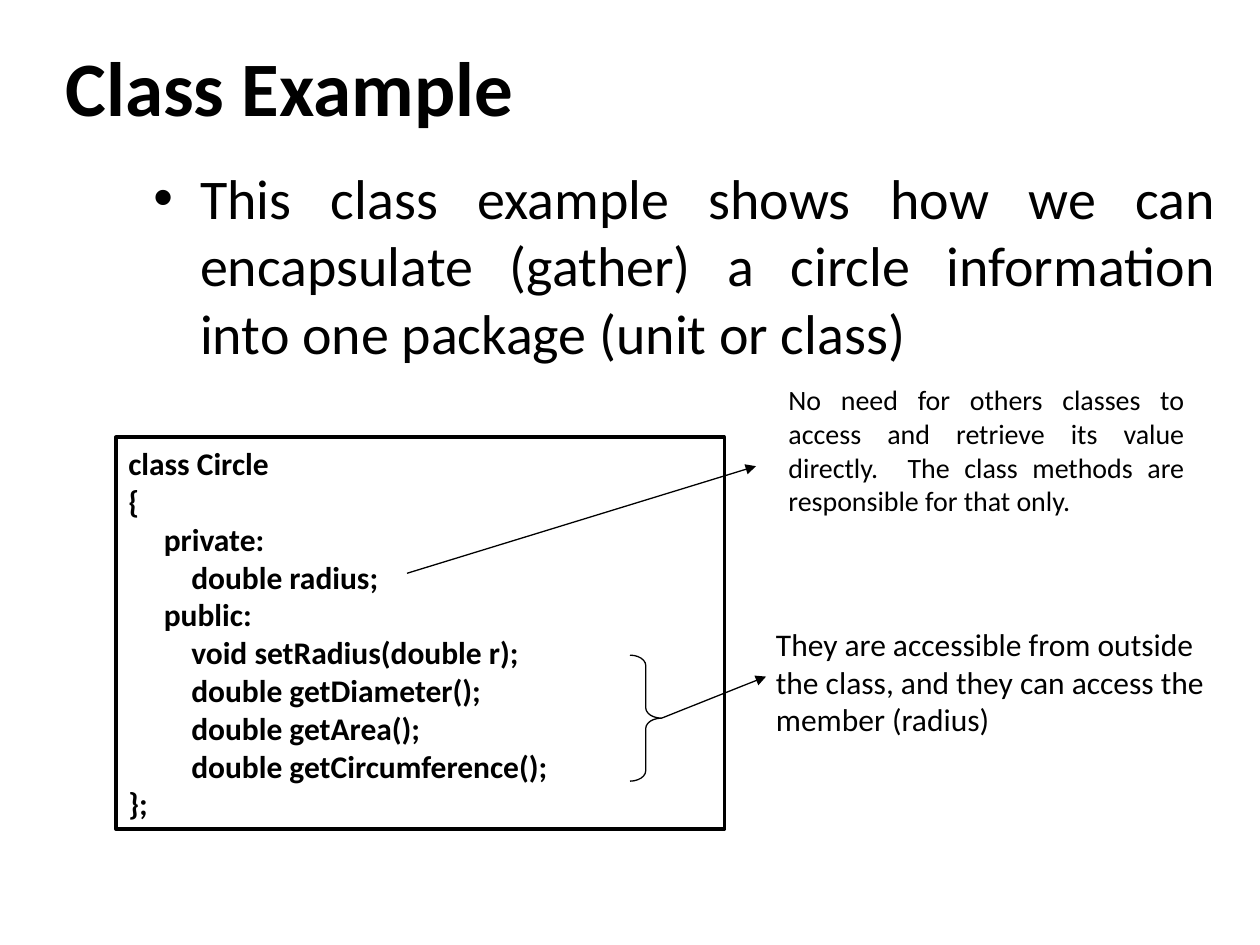
from lxml import etree
from pptx import Presentation, util as u
from pptx.dml.color import RGBColor
from pptx.enum import shapes, text
from pptx.oxml.ns import qn

TITLE = "Class Example"
INTRO = ["This class example shows how we can encapsulate (gather) a circle information into one package (unit or class)"]
CODE = [
    "class Circle",
    "{",
    "     private:",
    "\tdouble radius;",
    "     public:",
    "\tvoid setRadius(double r);",
    "\tdouble getDiameter();",
    "\tdouble getArea();",
    "\tdouble getCircumference();",
    "};",
]
PRIVATE_NOTE = ["No need for others classes to access and retrieve its value directly.  The class methods are responsible for that only."]
PUBLIC_NOTE = [
    "They are accessible from outside",
    "the class, and they can access the",
    "member (radius)",
]
ARROWS = [((3.23, 4.55), (6, 3.7)), ((5.25, 5.7), (6.08, 5.37))]
BLACK, WHITE = "000000", "FFFFFF"
JUSTIFY, LEFT = text.PP_ALIGN.JUSTIFY, text.PP_ALIGN.LEFT
GROW = text.MSO_AUTO_SIZE.SHAPE_TO_FIT_TEXT


def color(value):
    return RGBColor.from_string(value)


def inches(*values):
    return [u.Inches(v) for v in values]


def assign(obj, values):
    for name, value in values.items():
        setattr(obj, name, value)


def add_bullet(p, indent):
    pPr = p._p.get_or_add_pPr()
    pPr.set("marL", str(u.Inches(indent)))
    pPr.set("indent", str(-u.Inches(indent)))
    etree.SubElement(pPr, qn("a:buFont")).set("typeface", "Arial")
    etree.SubElement(pPr, qn("a:buChar")).set("char", "•")


def write(sp, lines, size, bold=False, align=LEFT, bullet=None, **frame):
    tf = sp.text_frame
    assign(tf, {"word_wrap": True, **frame})
    for i, line in enumerate(lines):
        p = tf.add_paragraph() if i else tf.paragraphs[0]
        p.alignment = align
        if bullet:
            add_bullet(p, bullet)
        r = p.add_run()
        r.text = line
        assign(r.font, {"name": "Calibri", "size": u.Pt(size), "bold": bold})
        r.font.color.rgb = color(BLACK)


def outline(sp, width):
    sp.line.color.rgb = color(BLACK)
    sp.line.width = u.Pt(width)


def add_arrow(s, start, end):
    sp = s.shapes.add_connector(shapes.MSO_CONNECTOR.STRAIGHT, *inches(*start, *end))
    outline(sp, 0.75)
    ln = sp.line._get_or_add_ln()
    etree.SubElement(ln, qn("a:tailEnd")).set("type", "triangle")
    etree.SubElement(sp._element.spPr, qn("a:effectLst"))


def main():
    """Build the class example slide and save it."""
    prs = Presentation()
    prs.slide_width, prs.slide_height = inches(10, 7.5)
    s = prs.slides.add_slide(prs.slide_layouts[5])

    title = s.shapes.title
    assign(title, dict(zip(("left", "top", "width", "height"), inches(0.42, 0.33, 8, 0.7))))
    write(title, [TITLE], 44, bold=True, vertical_anchor=text.MSO_ANCHOR.MIDDLE)

    intro = s.shapes.add_textbox(*inches(1.12, 1.25, 8.63, 5.67))
    write(intro, INTRO, 32, align=JUSTIFY, bullet=0.37)

    private_note = s.shapes.add_textbox(*inches(6.16, 2.99, 3.34, 1.18))
    write(private_note, PRIVATE_NOTE, 16, align=JUSTIFY, auto_size=GROW)

    code = s.shapes.add_shape(shapes.MSO_SHAPE.RECTANGLE, *inches(0.92, 3.47, 4.83, 3.11))
    code.shadow.inherit = False
    code.fill.solid()
    code.fill.fore_color.rgb = color(WHITE)
    outline(code, 2)
    write(code, CODE, 18, bold=True, auto_size=GROW, vertical_anchor=text.MSO_ANCHOR.MIDDLE)

    brace = s.shapes.add_shape(shapes.MSO_SHAPE.RIGHT_BRACE, *inches(5, 5.2, 0.25, 1))
    brace.shadow.inherit = False
    brace.fill.background()
    brace.adjustments[0] = 0.33
    outline(brace, 0.75)

    for start, end in ARROWS:
        add_arrow(s, start, end)

    public_note = s.shapes.add_textbox(*inches(6.06, 4.91, 3.69, 1.01))
    write(public_note, PUBLIC_NOTE, 18, auto_size=GROW, word_wrap=False)

    prs.save("out.pptx")


if __name__ == "__main__":
    main()
